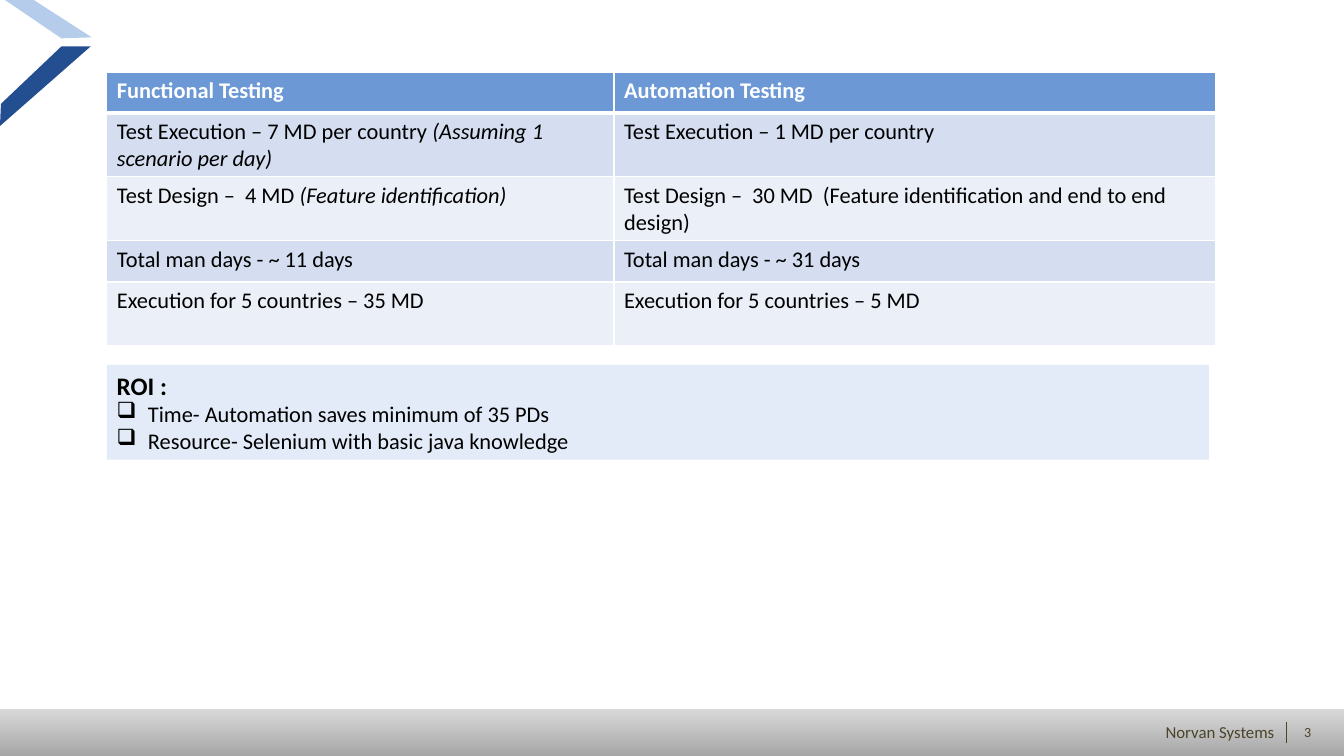
from lxml import etree
from pptx import Presentation
from pptx.dml.color import RGBColor
from pptx.enum import shapes, text
from pptx.oxml import ns
from pptx.util import Inches, Pt

WHITE = RGBColor(0xFF, 0xFF, 0xFF)
BLACK = RGBColor(0, 0, 0)
OLIVE = RGBColor(0x4A, 0x45, 0x2A)
HEADER_BLUE = RGBColor(0x6C, 0x99, 0xD6)
BAND_DARK = RGBColor(0xD4, 0xDE, 0xF0)
BAND_LIGHT = RGBColor(0xEB, 0xEF, 0xF7)
ROI_BLUE = RGBColor(0xE2, 0xEB, 0xF7)
CHEVRON_LIGHT = RGBColor(0xB5, 0xCC, 0xEA)
CHEVRON_DARK = RGBColor(0x23, 0x4E, 0x8F)
GREY_TOP = RGBColor(0xD9, 0xD9, 0xD9)
GREY_BOTTOM = RGBColor(0xA6, 0xA6, 0xA6)


def add_run(paragraph, content, size=16, color=BLACK, bold=False, italic=False,
            align=text.PP_ALIGN.LEFT):
    paragraph.alignment = align
    run = paragraph.add_run()
    run.text = content
    run.font.name = "Calibri"
    run.font.size = Pt(size)
    run.font.color.rgb = color
    run.font.bold = bold
    run.font.italic = italic


def add_borders(cell, bottom_width):
    properties = cell._tc.get_or_add_tcPr()
    widths = {"lnL": 1, "lnR": 1, "lnT": 1, "lnB": bottom_width}
    for position, (side, width) in enumerate(widths.items()):
        line = etree.Element(ns.qn("a:" + side), w=str(Pt(width)))
        fill = etree.SubElement(line, ns.qn("a:solidFill"))
        etree.SubElement(fill, ns.qn("a:srgbClr"), val=str(WHITE))
        properties.insert(position, line)


presentation = Presentation()
presentation.slide_width = Inches(13.33)
presentation.slide_height = Inches(7.5)
slide = presentation.slides.add_slide(presentation.slide_layouts[6])

footer = slide.shapes.add_shape(
    shapes.MSO_SHAPE.RECTANGLE, 0, Inches(7.03), Inches(13.33), Inches(0.47))
footer.shadow.inherit = False
footer.line.fill.background()
footer.fill.gradient()
footer.fill.gradient_angle = 270
for stop, color, position in zip(
        footer.fill.gradient_stops, (GREY_TOP, GREY_BOTTOM), (0, 1)):
    stop.color.rgb = color
    stop.position = position

footer_labels = [
    ("3", 12.89, 7.18, 0.16, 0.17, 10, text.PP_ALIGN.CENTER),
    ("Norvan Systems", 11.4, 7.16, 1.24, 0.2, 12, text.PP_ALIGN.RIGHT),
]
for content, left, top, width, height, size, align in footer_labels:
    label = slide.shapes.add_textbox(
        Inches(left), Inches(top), Inches(width), Inches(height))
    frame = label.text_frame
    frame.margin_left = frame.margin_right = frame.margin_top = frame.margin_bottom = 0
    frame.word_wrap = False
    frame.vertical_anchor = text.MSO_ANCHOR.MIDDLE
    add_run(frame.paragraphs[0], content, size=size, color=OLIVE, align=align)

divider = slide.shapes.add_connector(
    shapes.MSO_CONNECTOR.STRAIGHT,
    Inches(12.76), Inches(7.16), Inches(12.76), Inches(7.37))
divider.line.color.rgb = OLIVE
divider.line.width = Pt(0.75)
etree.SubElement(divider._element.spPr, ns.qn("a:effectLst"))

chevrons = [
    (CHEVRON_LIGHT, [(0.32, -0.01), (0.91, 0.37), (0.61, 0.38), (0.05, 0)]),
    (CHEVRON_DARK, [(0.61, 0.46), (0.9, 0.46), (0, 1.25), (0.01, 1.03)]),
]
for color, points in chevrons:
    corners = [(Inches(x), Inches(y)) for x, y in points]
    builder = slide.shapes.build_freeform(*corners[0])
    builder.add_line_segments(corners[1:], close=True)
    chevron = builder.convert_to_shape()
    chevron.shadow.inherit = False
    chevron.fill.solid()
    chevron.fill.fore_color.rgb = color
    chevron.line.fill.background()

comparison = [
    (0.4, ["Functional Testing"], ["Automation Testing"]),
    (0.63, ["Test Execution – 7 MD per country ", "(Assuming 1 scenario per day)"],
     ["Test Execution – 1 MD per country"]),
    (0.63, ["Test Design –  4 MD ", "(Feature identification)"],
     ["Test Design –  30 MD  (Feature identification and end to end design)"]),
    (0.41, ["Total man days - ~ 11 days"], ["Total man days - ~ 31 days"]),
    (0.63, ["Execution for 5 countries – 35 MD"], ["Execution for 5 countries – 5 MD"]),
]
table = slide.shapes.add_table(
    len(comparison), 2, Inches(1.06), Inches(0.72), Inches(11), Inches(2.7)).table
table.columns[0].width = Inches(5.03)
table.columns[1].width = Inches(5.97)
for row, (height, *entries) in enumerate(comparison):
    header = row == 0
    table.rows[row].height = Inches(height)
    for column, parts in enumerate(entries):
        cell = table.cell(row, column)
        cell.fill.solid()
        cell.fill.fore_color.rgb = (
            HEADER_BLUE if header else BAND_DARK if row % 2 else BAND_LIGHT)
        add_borders(cell, 3 if header else 1)
        for index, part in enumerate(parts):
            add_run(cell.text_frame.paragraphs[0], part, bold=header,
                    color=WHITE if header else BLACK, italic=index == 1)

roi = slide.shapes.add_shape(
    shapes.MSO_SHAPE.RECTANGLE, Inches(1.06), Inches(3.62), Inches(10.93), Inches(0.94))
roi.shadow.inherit = False
roi.fill.solid()
roi.fill.fore_color.rgb = ROI_BLUE
roi.line.fill.background()
roi.text_frame.word_wrap = True
roi.text_frame.vertical_anchor = text.MSO_ANCHOR.TOP
add_run(roi.text_frame.paragraphs[0], "ROI :", size=18, bold=True)
for benefit in ("Time- Automation saves minimum of 35 PDs",
                "Resource- Selenium with basic java knowledge"):
    paragraph = roi.text_frame.add_paragraph()
    add_run(paragraph, benefit)
    properties = paragraph._p.get_or_add_pPr()
    properties.set("marL", str(Inches(0.31)))
    properties.set("indent", str(-Inches(0.31)))
    etree.SubElement(properties, ns.qn("a:buFont"), typeface="Wingdings")
    etree.SubElement(properties, ns.qn("a:buChar"), char="q")

presentation.save("out.pptx")
